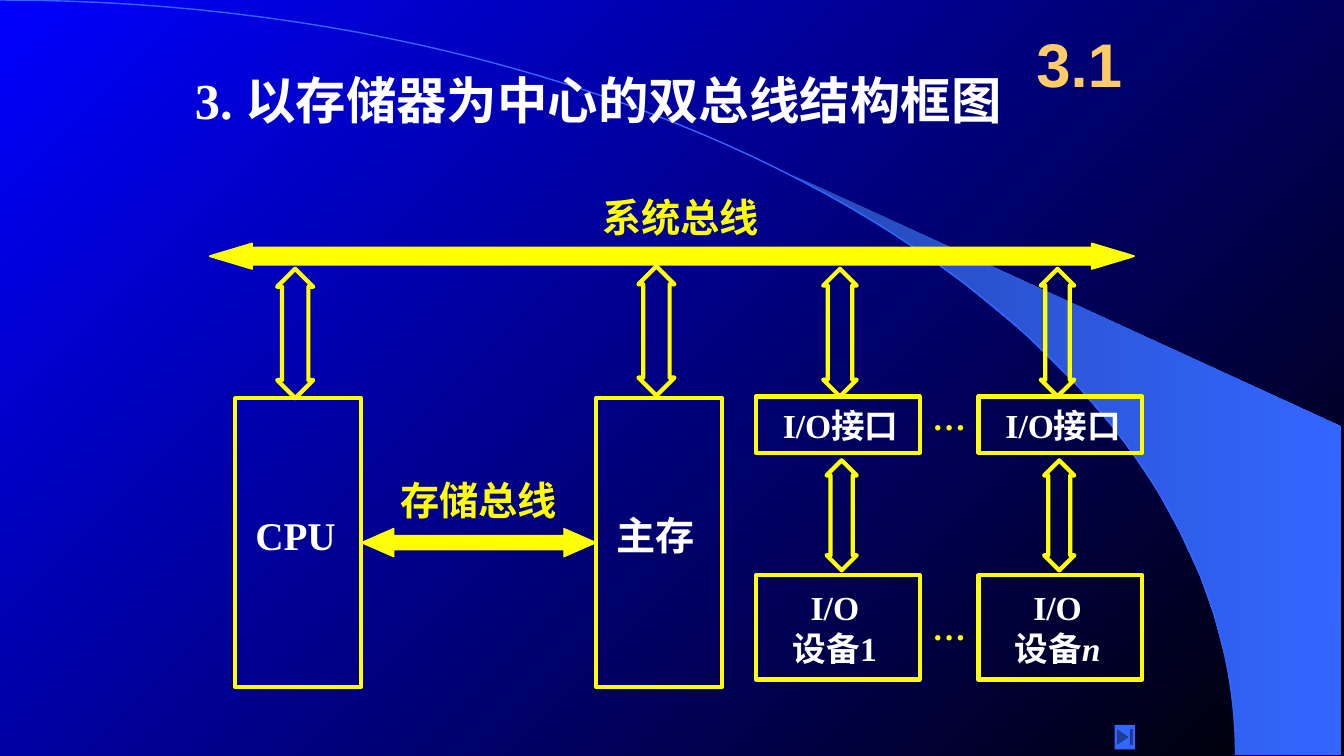
from lxml import etree
from pptx import Presentation, util as u
from pptx.dml.color import RGBColor
from pptx.enum import shapes, text
from pptx.oxml import ns

BLUE = RGBColor(0x00, 0x00, 0xFF)
BLACK = RGBColor(0x00, 0x00, 0x00)
DEEP_BLUE = RGBColor(0x24, 0x49, 0xB6)
ACCENT = RGBColor(0x33, 0x66, 0xFF)
YELLOW = RGBColor(0xFF, 0xFF, 0x00)
WHITE = RGBColor(0xFF, 0xFF, 0xFF)
ORANGE = RGBColor(0xFF, 0xCC, 0x66)
SERIF, SANS, CJK = "Times New Roman", "Arial", "Noto Sans CJK SC"
COLUMNS, ROWS = 160, 90
LEFT, CENTER = text.PP_ALIGN.LEFT, text.PP_ALIGN.CENTER
KIND = shapes.MSO_SHAPE


class BusSlide:
    def __init__(self, deck):
        self.slide = deck.slides.add_slide(deck.slide_layouts[6])
        self.column = deck.slide_width / COLUMNS
        self.row = deck.slide_height / ROWS

    def across(self, columns):
        return u.Emu(round(columns * self.column))

    def down(self, rows):
        return u.Emu(round(rows * self.row))

    def area(self, x, y, w, h):
        return self.across(x), self.down(y), self.across(w), self.down(h)

    def gradient(self, fill, first, last, angle):
        fill.gradient()
        fill.gradient_angle = angle
        for stop, color, position in zip(fill.gradient_stops, (first, last), (0, 1)):
            stop.color.rgb = color
            stop.position = position

    def paint(self, shape, fill=None, line=None, width=3):
        shape.shadow.inherit = False
        if fill is None:
            shape.fill.background()
        else:
            shape.fill.solid()
            shape.fill.fore_color.rgb = fill
        if line is None:
            shape.line.fill.background()
        else:
            shape.line.color.rgb = line
            shape.line.width = u.Pt(width)
        return shape

    def outline(self, points, closed, **style):
        start, *rest = [(self.across(x), self.down(y)) for x, y in points]
        builder = self.slide.shapes.build_freeform(*start)
        builder.add_line_segments(rest, close=closed)
        return self.paint(builder.convert_to_shape(), **style)

    def preset(self, kind, place, adjust=(), **style):
        shape = self.slide.shapes.add_shape(kind, *self.area(*place))
        for index, value in enumerate(adjust):
            shape.adjustments[index] = value
        return self.paint(shape, **style)

    def link(self, x, y, w, h):
        self.preset(KIND.UP_DOWN_ARROW, (x, y, w, h), (0.5, 0.73), line=YELLOW)

    def box(self, place, words, size, **style):
        shape = self.preset(KIND.RECTANGLE, place, line=YELLOW)
        self.typeset(shape.text_frame, words, size, WHITE, **style)

    def label(self, place, words, size, color, **style):
        shape = self.slide.shapes.add_textbox(*self.area(*place))
        self.typeset(shape.text_frame, words, size, color, **style)

    def typeset(self, frame, words, size, color, font=SERIF, align=LEFT,
                pad=(0, 0, 0), italic_tail=""):
        frame.text = words
        frame.word_wrap = True
        frame.vertical_anchor = text.MSO_ANCHOR.MIDDLE
        left, right, bottom = pad
        frame.margin_left, frame.margin_right = self.across(left), self.across(right)
        frame.margin_top, frame.margin_bottom = 0, self.down(bottom)
        if italic_tail:
            tail = frame.paragraphs[-1].add_run()
            tail.text = italic_tail
            tail.font.italic = True
        for paragraph in frame.paragraphs:
            paragraph.alignment = align
            for run in paragraph.runs:
                run.font.name = font
                run.font.size = u.Pt(size)
                run.font.bold = True
                run.font.color.rgb = color
                east = etree.SubElement(run.font._element, ns.qn("a:ea"))
                east.set("typeface", CJK)

    def backdrop(self):
        self.gradient(self.slide.background.fill, BLUE, BLACK, 315)
        wedge = self.outline([
            (147.2, 89.8), (159.7, 89.9), (159.7, 50.8), (94.3, 20.8),
            (99.8, 23.9), (104.4, 26.6), (109.6, 30), (114.6, 33.6),
            (121.9, 39.6), (128.4, 46.1), (133.2, 51.7), (137.3, 57.5),
            (140.5, 63.4), (142.9, 68.6), (144.5, 73.1), (146, 78.7),
            (146.8, 83.5)], True)
        self.gradient(wedge.fill, DEEP_BLUE, ACCENT, 0)
        steps = [i / 60 for i in range(61)]
        width, height, bend = 147.1, 89.9, 40.2
        arc = [(width * (3 * t * (1 - t) ** 2 * 0.55 + 3 * t * t * (1 - t) + t ** 3),
                3 * t * t * (1 - t) * bend + t ** 3 * height) for t in steps]
        self.outline(arc, False, line=ACCENT, width=1)

    def io_channel(self, x, link_x, number, italic_tail=""):
        self.box((x, 47.2, 19.5, 6.7), "I/O接口", 24, pad=(3.2, 0, 0))
        self.link(link_x, 32, 4, 15.2)
        self.link(link_x + 0.4, 54.8, 3.6, 13.1)
        self.box((x, 68.5, 19.5, 12.4), "I/O\n设备" + number, 24,
                 align=CENTER, pad=(0, 0.7, 0), italic_tail=italic_tail)


def main():
    deck = Presentation()
    deck.slide_width, deck.slide_height = u.Inches(13.33), u.Inches(7.5)
    bus = BusSlide(deck)
    bus.backdrop()
    bus.label((22, 7.6, 104, 8.4), "3. 以存储器为中心的双总线结构框图", 36, WHITE,
              pad=(1.2, 1.2, 0))
    bus.label((121, 2, 15, 11), "3.1", 44, ORANGE, font=SANS, align=CENTER)

    bus.label((71.7, 23, 30, 5.7), "系统总线", 28, YELLOW, font=CJK)
    bus.preset(KIND.LEFT_RIGHT_ARROW, (25, 29, 110, 3), (0.67, 1.67),
               fill=YELLOW, line=YELLOW, width=1.38)

    for unit, x, link_top in (("CPU", 28, 32), ("主存", 71, 31.7)):
        bus.box((x, 47.4, 15, 34.4), unit, 28, pad=(2.4, 0, 1.8))
        bus.link(x + 5, link_top, 4.3, 15.4)

    bus.label((46.5, 56, 21, 6.9), "存储总线", 28, YELLOW, align=CENTER)
    bus.preset(KIND.LEFT_RIGHT_ARROW, (43, 62.9, 28, 3.4), (0.5, 1.14),
               fill=YELLOW, line=YELLOW, width=0.75)

    bus.io_channel(90, 98, "1")
    bus.io_channel(116.5, 123.9, "", italic_tail="n")
    for dots_top in (47.2, 72.2):
        bus.label((111, dots_top, 4.1, 4.8), "…", 24, YELLOW)

    bus.preset(KIND.ACTION_BUTTON_END, (132.7, 86.3, 2.4, 2.9), fill=ACCENT)
    deck.save("out.pptx")


if __name__ == "__main__":
    main()
